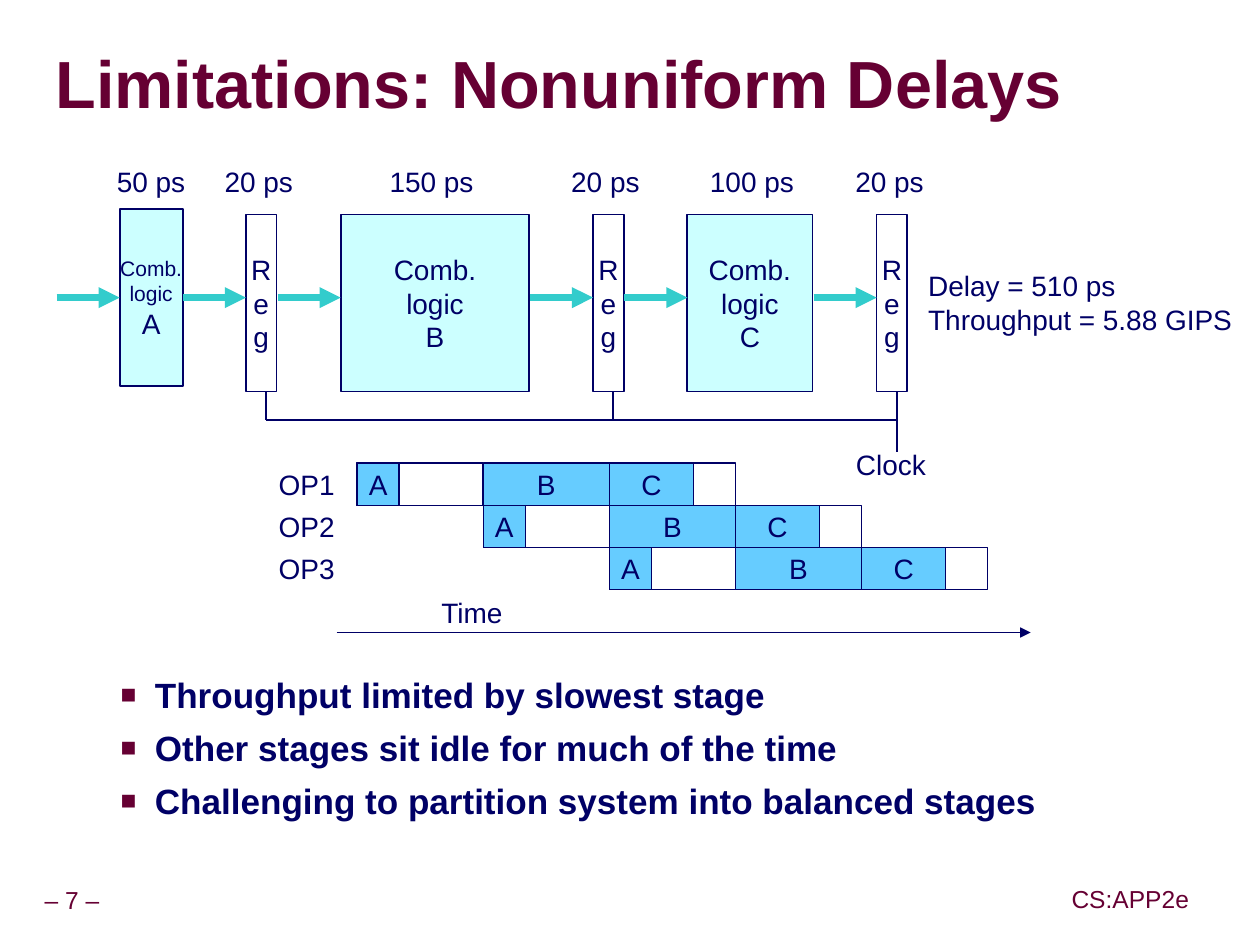
from dataclasses import dataclass

from lxml.etree import SubElement
from pptx import Presentation
from pptx.dml.color import RGBColor
from pptx.enum.shapes import MSO_CONNECTOR as Conn, MSO_SHAPE as Shp
from pptx.enum.text import MSO_ANCHOR as Anchor, MSO_AUTO_SIZE as Auto, PP_ALIGN as Align
from pptx.oxml.ns import qn
from pptx.shapes.autoshape import Shape
from pptx.shapes.connector import Connector
from pptx.slide import Slide
from pptx.text.text import TextFrame
from pptx.util import Cm, Pt

COLORS = {
    "navy": "000066", "maroon": "660033", "teal": "33CCCC", "white": "FFFFFF",
    "logic": "CCFFFF", "busy": "66CCFF", "shadow": "969696",
}
FONT = "Arial"
BLOCK_TOP, BLOCK_H = 4.32, 3.56
ARROW_Y, ARROW_LEN = 5.99, 1.27
BUS_Y, CLOCK_Y = 8.46, 9.09
ROW_TOP, ROW_H = 9.32, 0.85
TIME_LEFT, SLOT_W, SLOT_PS = 7.19, 2.54, 150


@dataclass
class Block:
    text: str
    left: float
    width: float
    delay: int
    label_mid: float
    fill: str = "logic"
    top: float = BLOCK_TOP
    size: int = 16


@dataclass
class Label:
    text: str
    left: float
    top: float
    width: float
    height: float
    align: Align = Align.CENTER
    size: int = 16
    color: str = "navy"
    anchor: Anchor = Anchor.TOP
    spacing: float = 1.0


@dataclass
class Stage:
    name: str
    delay: int


def register(left: float, label_mid: float) -> Block:
    return Block("R\ne\ng", left, 0.62, 20, label_mid, "white")


BLOCKS = [
    Block("Comb.\nlogic\nA", 2.41, 1.27, 50, 3.04, top=4.21, size=12),
    register(4.95, 5.21),
    Block("Comb.\nlogic\nB", 6.86, 3.8, 150, 8.69),
    register(11.94, 12.19),
    Block("Comb.\nlogic\nC", 13.84, 2.52, 100, 15.14),
    register(17.65, 17.91),
]
STAGES = [Stage("A", 50), Stage("B", 150), Stage("C", 100)]
OPERATIONS = ["OP1", "OP2", "OP3"]
LABELS = [
    Label("Clock", 16.84, 8.89, 2.2, 0.91),
    Label("Delay = 510 ps\nThroughput = 5.88 GIPS", 18.44, 5.28, 6.93, 1.6, Align.LEFT),
    Label("Time", 8.64, 11.86, 1.75, 0.91, Align.LEFT),
    Label("– 7 –", 0.45, 17.75, 2, 0.79, size=14, color="maroon",
          anchor=Anchor.MIDDLE, spacing=0.9),
    Label("CS:APP2e", 21.26, 17.73, 3, 0.79, size=14, color="maroon",
          anchor=Anchor.MIDDLE, spacing=0.9),
]
POINTS = [
    "Throughput limited by slowest stage",
    "Other stages sit idle for much of the time",
    "Challenging to partition system into balanced stages",
]


def rgb(name: str) -> RGBColor:
    return RGBColor.from_string(COLORS[name])


def format_text(tf: TextFrame, size: int, align: Align, color: str = "navy",
                bold: bool = False, spacing: float = 1.0) -> None:
    for p in tf.paragraphs:
        p.alignment = align
        p.line_spacing = spacing
        for r in p.runs:
            r.font.size, r.font.bold, r.font.name = Pt(size), bold, FONT
            r.font.color.rgb = rgb(color)


def add_label(s: Slide, label: Label) -> None:
    sp = s.shapes.add_textbox(Cm(label.left), Cm(label.top), Cm(label.width), Cm(label.height))
    tf = sp.text_frame
    tf.word_wrap = False
    tf.vertical_anchor = label.anchor
    tf.text = label.text
    format_text(tf, label.size, label.align, label.color, spacing=label.spacing)


def add_box(s: Slide, left: float, top: float, width: float, height: float,
            fill: str = "", line: float = 0.75, text: str = "", size: int = 16) -> Shape:
    sp = s.shapes.add_shape(Shp.RECTANGLE, Cm(left), Cm(top), Cm(width), Cm(height))
    sp.shadow.inherit = False
    if fill:
        sp.fill.solid()
        sp.fill.fore_color.rgb = rgb(fill)
    else:
        sp.fill.background()
    sp.line.color.rgb = rgb("navy")
    sp.line.width = Pt(line)
    if text:
        tf = sp.text_frame
        tf.margin_left = tf.margin_right = 0
        tf.word_wrap = False
        tf.vertical_anchor = Anchor.MIDDLE
        tf.text = text
        format_text(tf, size, Align.CENTER)
    return sp


def add_line(s: Slide, x1: float, y1: float, x2: float, y2: float, color: str = "navy",
             width: float = 1, arrow: bool = False) -> Connector:
    c = s.shapes.add_connector(Conn.STRAIGHT, Cm(x1), Cm(y1), Cm(x2), Cm(y2))
    c.line.color.rgb = rgb(color)
    c.line.width = Pt(width)
    if arrow:
        SubElement(c.line._get_or_add_ln(), qn("a:tailEnd"), type="triangle")
    SubElement(c._element.spPr, qn("a:effectLst"))
    return c


def add_title(s: Slide, text: str) -> None:
    sp = s.shapes.title
    sp.left, sp.top, sp.width, sp.height = Cm(1.12), Cm(0.69), Cm(24.18), Cm(2.16)
    tf = sp.text_frame
    tf.margin_left = tf.margin_right = tf.margin_top = tf.margin_bottom = 0
    tf.auto_size = Auto.NONE
    tf.vertical_anchor = Anchor.MIDDLE
    tf.text = text
    format_text(tf, 38, Align.LEFT, "maroon", True, 0.87)
    fill = tf.paragraphs[0].runs[0]._r.rPr.find(qn("a:solidFill"))
    effects = SubElement(fill.getparent(), qn("a:effectLst"))
    fill.addnext(effects)
    shadow = SubElement(effects, qn("a:outerShdw"), dist="35921", dir="2700000")
    SubElement(shadow, qn("a:srgbClr"), val=COLORS["shadow"])


def add_pipeline(s: Slide) -> None:
    shapes = []
    for b in BLOCKS:
        sp = add_box(s, b.left, b.top, b.width, BLOCK_H, b.fill, 1, b.text, b.size)
        sp.text_frame.paragraphs[-1].runs[0].font.size = Pt(16)
        shapes.append(sp)
        add_label(s, Label(f"{b.delay} ps", b.label_mid - 1.1, 3.18, 2.2, 0.91))
    arrows = [add_line(s, b.left - ARROW_LEN, ARROW_Y, b.left, ARROW_Y, "teal", 4, True)
              for b in BLOCKS]
    arrows[0].end_connect(shapes[0], 1)
    arrows[1].begin_connect(shapes[0], 3)
    taps = [b.left + 0.41 for b in BLOCKS if b.fill == "white"]
    for x in taps:
        add_line(s, x, BLOCK_TOP + BLOCK_H, x, CLOCK_Y if x == taps[-1] else BUS_Y)
    add_line(s, taps[0], BUS_Y, taps[-1], BUS_Y)


def add_timeline(s: Slide) -> None:
    for row, name in enumerate(OPERATIONS):
        top = ROW_TOP + row * ROW_H
        add_label(s, Label(name, 4.65, top, 2.34, ROW_H, Align.RIGHT, anchor=Anchor.MIDDLE))
        for i, stage in enumerate(STAGES):
            left = TIME_LEFT + (row + i) * SLOT_W
            add_box(s, left, top, SLOT_W * stage.delay / SLOT_PS, ROW_H, "busy", text=stage.name)
            if stage.delay < SLOT_PS:
                add_box(s, left, top, SLOT_W, ROW_H)
    add_line(s, 6.78, 12.73, 20.75, 12.73, arrow=True)


def add_points(s: Slide) -> None:
    tf = s.shapes.add_textbox(Cm(0.81), Cm(13.44), Cm(23.04), Cm(4.32)).text_frame
    tf.word_wrap = True
    tf.text = "\n".join(POINTS)
    format_text(tf, 20, Align.LEFT, bold=True)
    for p in tf.paragraphs:
        p.space_before = Pt(6)
        pPr = p._p.get_or_add_pPr()
        pPr.set("marL", str(Cm(2.06)))
        pPr.set("indent", str(Cm(-0.69)))
        SubElement(SubElement(pPr, qn("a:buClr")), qn("a:srgbClr"), val=COLORS["maroon"])
        SubElement(pPr, qn("a:buSzPct"), val="75000")
        SubElement(pPr, qn("a:buFont"), typeface=FONT)
        SubElement(pPr, qn("a:buChar"), char="■")


def main() -> None:
    prs = Presentation()
    prs.slide_width, prs.slide_height = Cm(25.37), Cm(19.02)
    s = prs.slides.add_slide(prs.slide_layouts[5])
    add_title(s, "Limitations: Nonuniform Delays")
    add_pipeline(s)
    add_timeline(s)
    add_points(s)
    for label in LABELS:
        add_label(s, label)
    prs.save("out.pptx")


if __name__ == "__main__":
    main()
